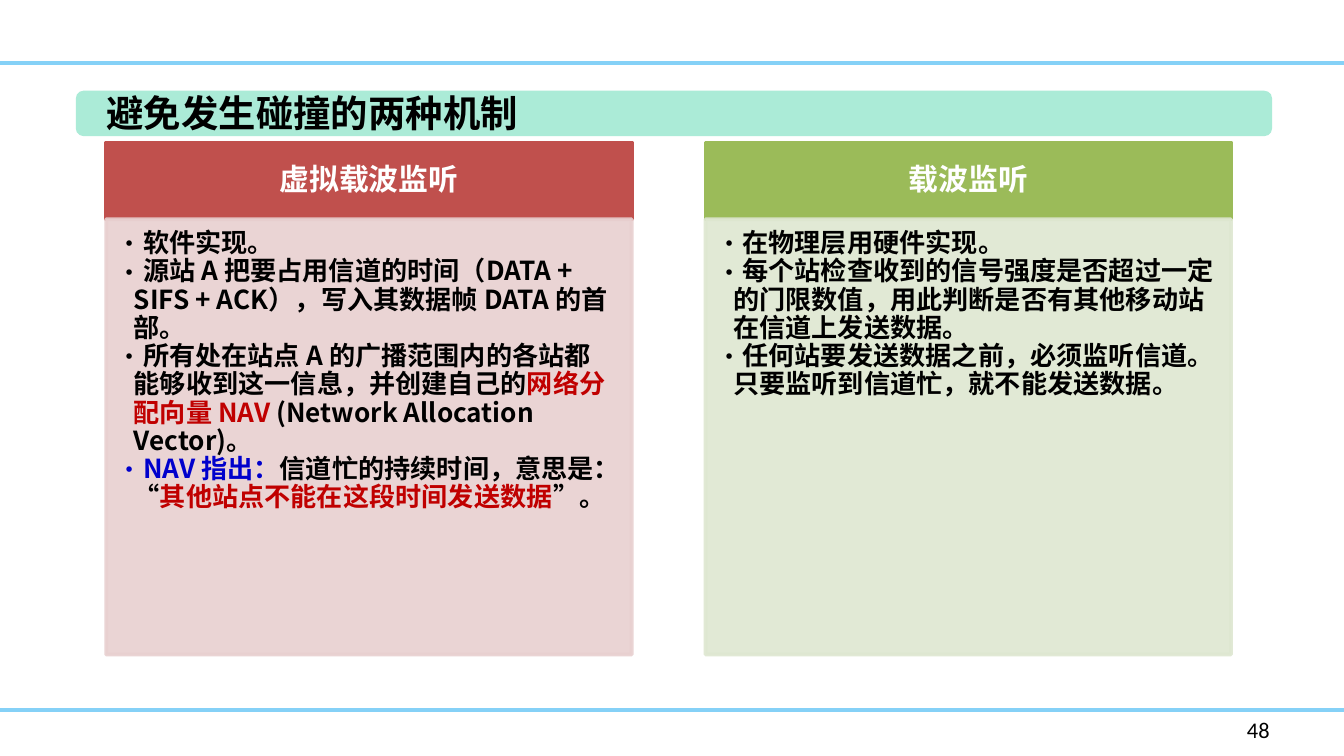
from lxml.etree import SubElement
from pptx import Presentation
from pptx.dml.color import RGBColor
from pptx.enum.shapes import MSO_CONNECTOR, MSO_SHAPE
from pptx.enum.text import MSO_ANCHOR, PP_ALIGN
from pptx.oxml.ns import qn
from pptx.util import Inches, Pt

CJK = "Noto Sans CJK SC"
BLACK, RED, BLUE, WHITE = "000000", "C00000", "0000CC", "FFFFFF"

# Widescreen slide, 16 to 9
deck = Presentation()
deck.slide_width = Inches(10)
deck.slide_height = deck.slide_width * 9 // 16
slide = deck.slides.add_slide(deck.slide_layouts[6])

# Grid of 100 columns by 100 rows
COL, ROW = deck.slide_width / 100, deck.slide_height / 100


def place(left, top, width, height):
    return [round(v) for v in (left * COL, top * ROW, width * COL, height * ROW)]


def write(paragraph, runs, size, face=CJK, bold=True):
    for words, color in runs:
        run = paragraph.add_run()
        run.text = words
        run.font.size, run.font.bold, run.font.name = Pt(size), bold, face
        run.font.color.rgb = RGBColor.from_string(color)
        SubElement(run._r.get_or_add_rPr(), qn("a:ea"), typeface=face)


# Rules at the top and bottom
for row in (8.36, 93.9):
    y = round(row * ROW)
    rule = slide.shapes.add_connector(MSO_CONNECTOR.STRAIGHT, 0, y, deck.slide_width, y)
    rule.line.color.rgb = RGBColor.from_string("85D1F7")
    rule.line.width = Pt(2)
    SubElement(rule._element.spPr, qn("a:effectLst"))

# Title band and title
band = slide.shapes.add_shape(MSO_SHAPE.ROUNDED_RECTANGLE, *place(5.65, 12, 89, 6))
band.shadow.inherit = False
band.fill.solid()
band.fill.fore_color.rgb = RGBColor.from_string("ABEBD7")
band.line.fill.background()

title = slide.shapes.add_textbox(*place(6.95, 11.02, 33.9, 7.82))
title.text_frame.word_wrap = False
write(title.text_frame.paragraphs[0], [("避免发生碰撞的两种机制", BLACK)], 20)

# The two mechanisms: heading, heading colour, body colour, points
mechanisms = [
    ("虚拟载波监听", "C0504D", "E8D0D0", [
        [("软件实现。", BLACK)],
        [("源站 A 把要占用信道的时间（DATA + SIFS + ACK），写入其数据帧 DATA 的首部。", BLACK)],
        [("所有处在站点 A 的广播范围内的各站都能够收到这一信息，并创建自己的", BLACK),
         ("网络分配向量 NAV ", RED),
         ("(Network Allocation Vector)。", BLACK)],
        [("NAV 指出：", BLUE),
         ("信道忙的持续时间，意思是：“", BLACK),
         ("其他站点不能在这段时间发送数据", RED),
         ("”。", BLACK)],
    ]),
    ("载波监听", "9BBB59", "DEE7D1", [
        [("在物理层用硬件实现。", BLACK)],
        [("每个站检查收到的信号强度是否超过一定的门限数值，用此判断是否有其他移动站在信道上发送数据。", BLACK)],
        [("任何站要发送数据之前，必须监听信道。只要监听到信道忙，就不能发送数据。", BLACK)],
    ]),
]
HEAD_TOP, HEAD_ROWS, BODY_ROWS = 18.85, 10.15, 57.6
CARD_LEFT, CARD_COLS, CARD_STEP = 7.9, 39.1, 44.6
BULLET_INDENT = Pt(9)

for number, (heading, head_color, body_color, points) in enumerate(mechanisms):
    left = CARD_LEFT + number * CARD_STEP
    head = slide.shapes.add_shape(
        MSO_SHAPE.RECTANGLE, *place(left, HEAD_TOP, CARD_COLS, HEAD_ROWS))
    body = slide.shapes.add_shape(
        MSO_SHAPE.RECTANGLE, *place(left, HEAD_TOP + HEAD_ROWS, CARD_COLS, BODY_ROWS))

    # Fill, line and insets of both parts
    for part, color, insets in ((head, head_color, (0.12, 0.07, 0.12, 0.07)),
                                (body, body_color, (0.08, 0.08, 0.11, 0.12))):
        part.shadow.inherit = False
        part.fill.solid()
        part.fill.fore_color.rgb = RGBColor.from_string(color)
        part.line.color.rgb = RGBColor.from_string(color)
        part.line.width = Pt(2)
        frame = part.text_frame
        frame.word_wrap = True
        (frame.margin_left, frame.margin_top,
         frame.margin_right, frame.margin_bottom) = map(Inches, insets)

    # Heading
    head.text_frame.vertical_anchor = MSO_ANCHOR.MIDDLE
    caption = head.text_frame.paragraphs[0]
    caption.alignment = PP_ALIGN.CENTER
    caption.line_spacing = 0.9
    write(caption, [(heading, WHITE)], 16)

    # Slightly transparent body with bulleted points
    for tint in body._element.spPr.iter(qn("a:srgbClr")):
        SubElement(tint, qn("a:alpha"), val="90000")
    body.text_frame.vertical_anchor = MSO_ANCHOR.TOP
    for index, runs in enumerate(points):
        point = body.text_frame.add_paragraph() if index else body.text_frame.paragraphs[0]
        point.level = 1
        point.alignment = PP_ALIGN.LEFT
        point.line_spacing = 0.9
        properties = point._p.get_or_add_pPr()
        properties.set("marL", str(BULLET_INDENT))
        properties.set("indent", str(-BULLET_INDENT))
        SubElement(properties, qn("a:buFont"), typeface=CJK)
        SubElement(properties, qn("a:buChar"), char="•")
        write(point, runs, 14)

# Page number
page_number = slide.shapes.add_textbox(*place(91.8, 93.9, 6.3, 5.33))
page_number.text_frame.word_wrap = True
write(page_number.text_frame.paragraphs[0], [("48", BLACK)], 12, "Calibri", False)

deck.save("out.pptx")
